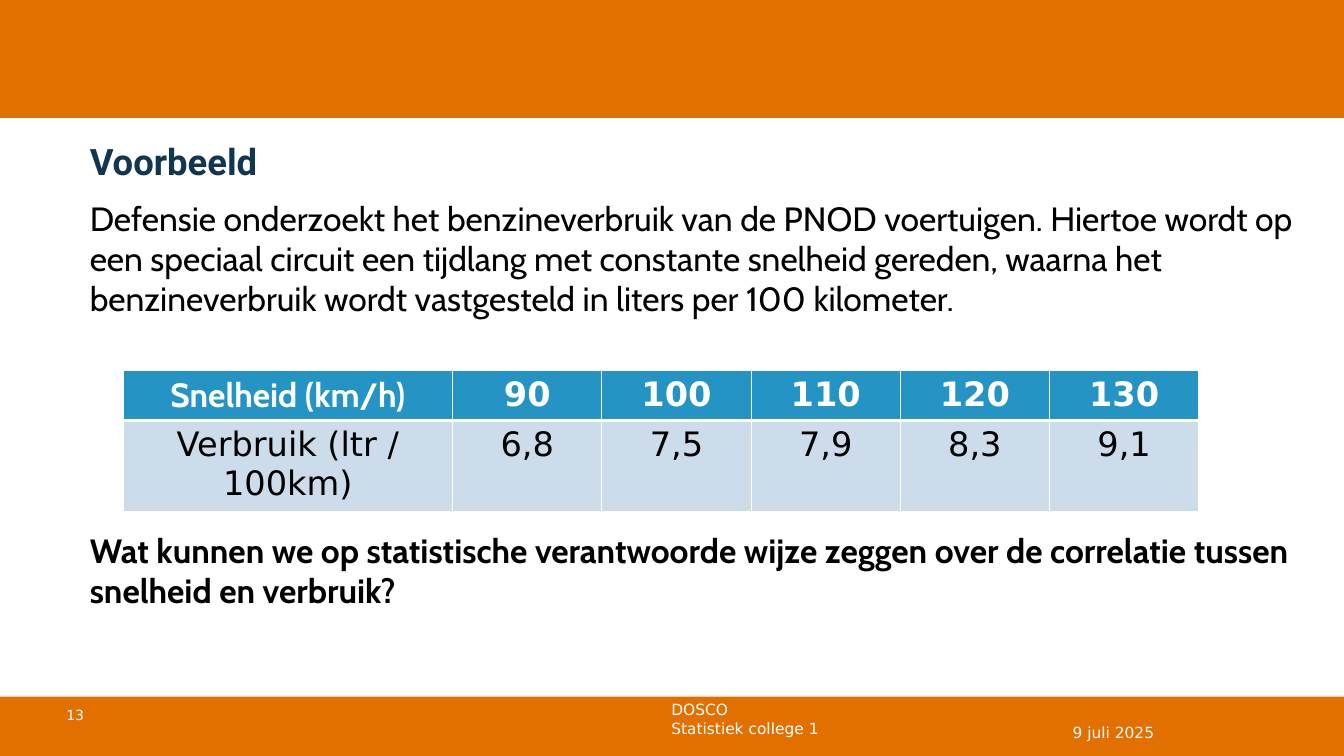
import dataclasses

import lxml.etree
import pptx
import pptx.dml.color
import pptx.enum.shapes
import pptx.enum.text
import pptx.oxml.ns
import pptx.util

Inches = pptx.util.Inches
Pt = pptx.util.Pt
Align = pptx.enum.text.PP_ALIGN
Anchor = pptx.enum.text.MSO_ANCHOR
qn = pptx.oxml.ns.qn


@dataclasses.dataclass(frozen=True)
class Theme:
    orange: str = "E17000"
    navy: str = "113652"
    blue: str = "2494C5"
    pale: str = "CDDCEA"
    white: str = "FFFFFF"
    black: str = "000000"
    head: str = "Roboto"
    text: str = "Cabin"
    plain: str = "DejaVu Sans"
    title: int = 26
    body: int = 24
    foot: int = 11
    page: int = 10


def rgb(code):
    return pptx.dml.color.RGBColor.from_string(code)


def write(frame, *lines, font, size, color, bold=False,
          align=Align.LEFT, anchor=Anchor.TOP, gap=0):
    """Fill a text frame, one paragraph a line; gap is the space before later ones."""
    frame.word_wrap = True
    frame.vertical_anchor = anchor
    for i, line in enumerate(lines):
        para = frame.paragraphs[0] if i == 0 else frame.add_paragraph()
        para.alignment = align
        para.space_before = Pt(gap if i else 0)
        run = para.add_run()
        run.text = line
        run.font.name = font
        run.font.size = Pt(size)
        run.font.bold = bold
        run.font.color.rgb = rgb(color)


def edge(cell, side, color, width):
    """Add a border; sides must come in the order L, R, T, B."""
    props = cell._tc.get_or_add_tcPr()
    line = lxml.etree.Element(qn(f"a:ln{side}"), w=str(Pt(width)))
    fill = lxml.etree.SubElement(line, qn("a:solidFill"))
    lxml.etree.SubElement(fill, qn("a:srgbClr"), val=color)
    props.insert(len(props.findall("*")) - 1, line)


class Deck:
    def __init__(self, theme):
        self.theme = theme
        self.file = pptx.Presentation()
        self.file.slide_width = Inches(13.33)
        self.file.slide_height = Inches(7.5)
        self.slide = self.file.slides.add_slide(self.file.slide_layouts[1])

    def bar(self, top, height):
        kind = pptx.enum.shapes.MSO_SHAPE.RECTANGLE
        bar = self.slide.shapes.add_shape(
            kind, 0, Inches(top), self.file.slide_width, Inches(height))
        bar.shadow.inherit = False
        bar.fill.solid()
        bar.fill.fore_color.rgb = rgb(self.theme.orange)
        bar.line.fill.background()

    def holder(self, index, box, *lines, **style):
        """Move a placeholder and fill it, without insets or bullets."""
        shape = self.slide.placeholders[index]
        shape.left, shape.top, shape.width, shape.height = map(Inches, box)
        frame = shape.text_frame
        frame.margin_left = frame.margin_right = 0
        frame.margin_top = frame.margin_bottom = 0
        frame.auto_size = pptx.enum.text.MSO_AUTO_SIZE.NONE
        write(frame, *lines, **style)
        for para in frame.paragraphs:
            props = para._p.get_or_add_pPr()
            props.set("marL", "0")
            props.set("indent", "0")
            lxml.etree.SubElement(props, qn("a:buNone"))

    def note(self, box, *lines, size, anchor=Anchor.TOP):
        shape = self.slide.shapes.add_textbox(*map(Inches, box))
        write(shape.text_frame, *lines, font=self.theme.plain, size=size,
              color=self.theme.white, anchor=anchor)

    def table(self, box, rows, widths, heights):
        look = self.theme
        grid = self.slide.shapes.add_table(
            len(rows), len(widths), *map(Inches, box)).table
        for col, width in zip(grid.columns, widths):
            col.width = Inches(width)
        for r, row in enumerate(rows):
            grid.rows[r].height = Inches(heights[r])
            head = r == 0
            for c, value in enumerate(row):
                cell = grid.cell(r, c)
                cell.fill.solid()
                cell.fill.fore_color.rgb = rgb(look.blue if head else look.pale)
                for side in "LRTB":
                    thick = (head and side == "B") or (not head and side == "T")
                    edge(cell, side, look.white, 3 if thick else 1)
                write(cell.text_frame, value,
                      font=look.text if head and c == 0 else look.plain,
                      size=look.body, bold=head, align=Align.CENTER,
                      color=look.white if head else look.black)


def main():
    look = Theme()
    deck = Deck(look)
    deck.bar(6.91, 0.59)
    deck.bar(0, 1.17)
    deck.note((6.56, 6.9, 6.07, 0.31), "DOSCO", "Statistiek college 1", size=look.foot)
    deck.note((0.56, 6.96, 1.04, 0.4), "13", size=look.page)
    deck.note((10.54, 7.07, 2.43, 0.4), "9 juli 2025", size=look.foot,
              anchor=Anchor.MIDDLE)

    deck.holder(0, (0.89, 1.38, 11.33, 0.43), "Voorbeeld",
                font=look.head, size=look.title, color=look.navy, bold=True)
    deck.holder(
        1, (0.89, 1.96, 12, 4.64),
        "Defensie onderzoekt het benzineverbruik van de PNOD voertuigen. "
        "Hiertoe wordt op een speciaal circuit een tijdlang met constante "
        "snelheid gereden, waarna het benzineverbruik wordt vastgesteld in "
        "liters per 100 kilometer.",
        "Wat kunnen we op statistische verantwoorde wijze zeggen over de "
        "correlatie tussen snelheid en verbruik?",
        font=look.text, size=look.body, color=look.black, gap=151)
    body = deck.slide.placeholders[1].text_frame
    body.paragraphs[1].runs[0].font.bold = True

    rows = [
        ["Snelheid (km/h)", "90", "100", "110", "120", "130"],
        ["Verbruik (ltr / 100km)", "6,8", "7,5", "7,9", "8,3", "9,1"],
    ]
    deck.table((1.22, 3.67, 10.67, 1.37), rows, [3.27] + [1.48] * 5, [0.5, 0.87])
    deck.file.save("out.pptx")


if __name__ == "__main__":
    main()
